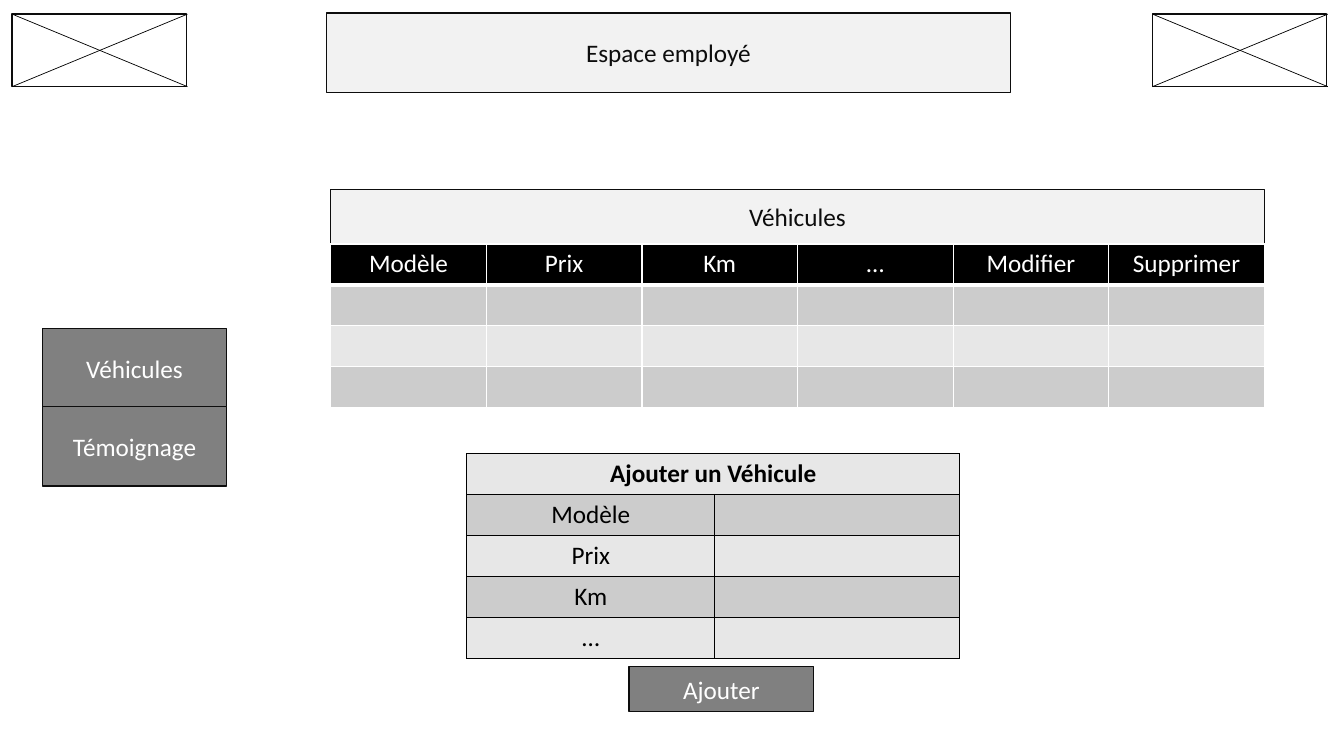
"""Build the employee-area wireframe slide: menu, vehicle list and add-vehicle form."""
from lxml import etree
from pptx import Presentation
from pptx import util as u
from pptx.dml.color import RGBColor
from pptx.enum import shapes, text
from pptx.oxml import ns

EMU_PER_PX = 9144
THEME = {
    "font": "Calibri", "size": 18, "outline": 1, "cross": 0.5, "header_rule": 3,
    "white": "FFFFFF", "black": "000000", "ink": "0D0D0D",
    "panel": "F2F2F2", "button": "808080", "bands": ("E7E7E7", "CCCCCC"),
}


def style_box(box, label, fill, color):
    """Give a shape its fill, outline and centred label."""
    box.shadow.inherit = False
    box.fill.solid()
    box.fill.fore_color.rgb = RGBColor.from_string(THEME[fill])
    box.line.color.rgb = RGBColor.from_string(THEME["ink"])
    box.line.width = u.Pt(THEME["outline"])
    frame = box.text_frame
    frame.word_wrap = True
    frame.auto_size = text.MSO_AUTO_SIZE.NONE
    frame.vertical_anchor = text.MSO_ANCHOR.MIDDLE
    write(frame.paragraphs[0], label, color)


def write(para, label, color, bold=False):
    """Add one centred run to a paragraph."""
    para.alignment = text.PP_ALIGN.CENTER
    if label:
        span = para.add_run()
        span.text = label
        span.font.name = THEME["font"]
        span.font.size = u.Pt(THEME["size"])
        span.font.bold = bold
        span.font.color.rgb = RGBColor.from_string(THEME[color])


deck = Presentation()
deck.slide_width, deck.slide_height = 1333 * EMU_PER_PX, 750 * EMU_PER_PX
page = deck.slides.add_slide(deck.slide_layouts[5])

title = page.shapes.title
title.left, title.top, title.width, title.height = (n * EMU_PER_PX for n in (324, 13, 678, 79))
style_box(title, "Espace employé", "panel", "ink")

boxes = [
    ("Véhicules", "button", "white", (42, 326, 183, 78)),
    ("Témoignage", "button", "white", (42, 403, 183, 79)),
    ("Véhicules", "panel", "ink", (328, 188, 926, 54)),
    ("Ajouter", "button", "white", (624, 661, 183, 45)),
    ("", "white", "ink", (12, 14, 173, 72)),
    ("", "white", "ink", (1143, 14, 173, 72)),
]
for label, fill, color, place in boxes:
    box = page.shapes.add_shape(shapes.MSO_SHAPE.RECTANGLE, *(n * EMU_PER_PX for n in place))
    style_box(box, label, fill, color)

for left in (12, 1143):
    for start, end in ((14, 86), (86, 14)):
        ends = (left, start, left + 174, end)
        cross = page.shapes.add_connector(
            shapes.MSO_CONNECTOR.STRAIGHT, *(n * EMU_PER_PX for n in ends))
        cross.line.color.rgb = RGBColor.from_string(THEME["black"])
        cross.line.width = u.Pt(THEME["cross"])
        etree.SubElement(cross.element.spPr, ns.qn("a:effectLst"))

vehicle_rows = [["Modèle", "Prix", "Km", "…", "Modifier", "Supprimer"]] + [[""] * 6] * 3
form_rows = [[name, ""] for name in ("Ajouter un Véhicule", "Modèle", "Prix", "Km", "…")]
tables = [
    (vehicle_rows, (328, 242, 926, 162), [926 / 6] * 6, "white", True),
    (form_rows, (463, 450, 489, 203), [246, 243], "black", False),
]
for rows, place, widths, border, dark_header in tables:
    grid = page.shapes.add_table(
        len(rows), len(widths), *(n * EMU_PER_PX for n in place)).table
    grid.first_row = grid.horz_banding = False
    for column, width in zip(grid.columns, widths):
        column.width = round(width * EMU_PER_PX)
    for r, row in enumerate(rows):
        grid.rows[r].height = round(place[3] / len(rows) * EMU_PER_PX)
        for c, label in enumerate(row):
            cell = grid.cell(r, c)
            props = cell._tc.get_or_add_tcPr()
            for side in ("lnL", "lnR", "lnT", "lnB"):
                under_header = dark_header and (r, side) in ((0, "lnB"), (1, "lnT"))
                weight = THEME["header_rule" if under_header else "outline"]
                edge = etree.SubElement(props, ns.qn(f"a:{side}"), w=str(u.Pt(weight)))
                paint = etree.SubElement(edge, ns.qn("a:solidFill"))
                etree.SubElement(paint, ns.qn("a:srgbClr"), val=THEME[border])
            header = dark_header and r == 0
            cell.fill.solid()
            cell.fill.fore_color.rgb = RGBColor.from_string(
                THEME["black"] if header else THEME["bands"][(r + dark_header * 0) % 2]
                if not dark_header else THEME["bands"][r % 2])
            write(cell.text_frame.paragraphs[0], label, "white" if header else "black",
                  bold=r == 0 and not dark_header)
    if not dark_header:
        grid.cell(0, 0).merge(grid.cell(0, 1))

deck.save("out.pptx")
